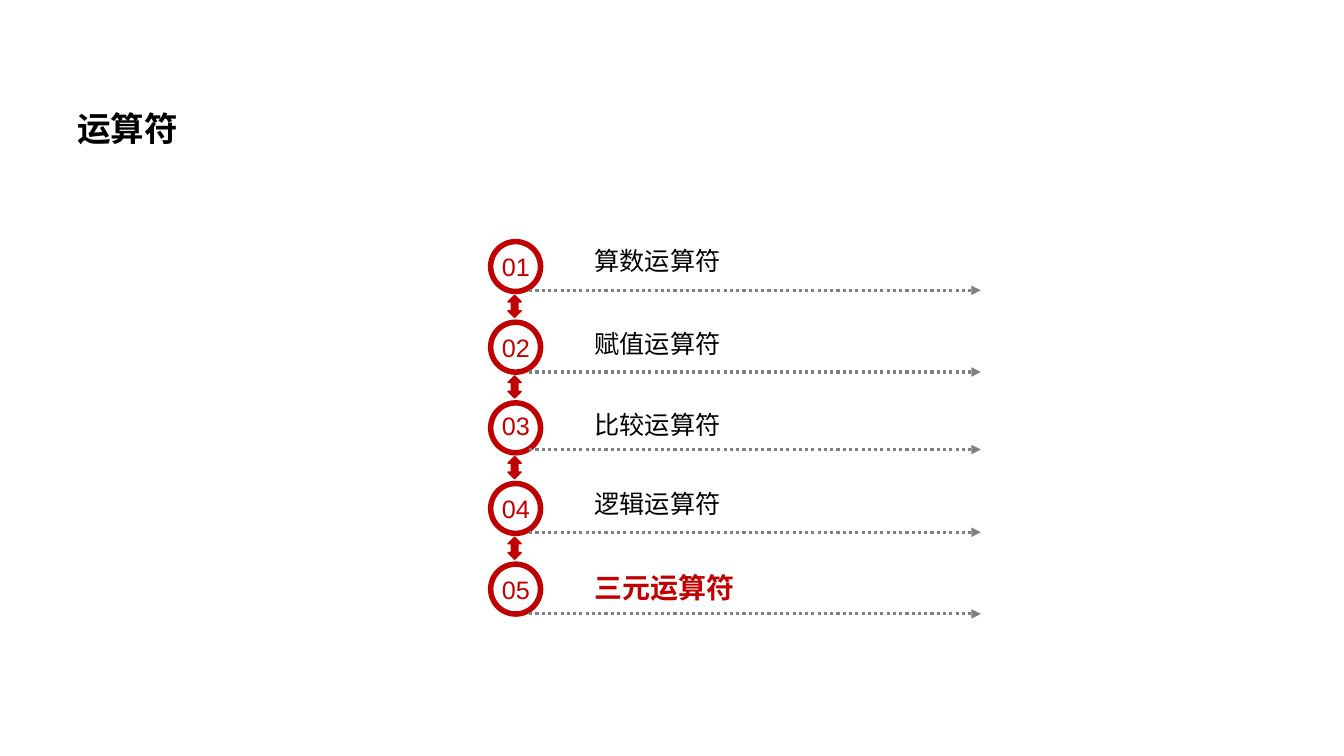
from dataclasses import dataclass

from lxml.etree import SubElement
from pptx import Presentation
from pptx.dml.color import RGBColor
from pptx.enum.dml import MSO_LINE_DASH_STYLE as Dash
from pptx.enum.shapes import MSO_CONNECTOR_TYPE as Connector, MSO_SHAPE as Preset
from pptx.enum.text import MSO_AUTO_SIZE as AutoSize
from pptx.oxml.ns import qn
from pptx.shapes.autoshape import Shape
from pptx.shapes.shapetree import SlideShapes
from pptx.util import Pt

RED = RGBColor(0xC0, 0x00, 0x00)
BLACK = RGBColor(0x00, 0x00, 0x00)
GRAY = RGBColor(0x80, 0x80, 0x80)

RING_LEFT, RING_TOP, RING_SIZE = 348.5, 170.6, 39.6
RING_PITCH = 57.6
LINK_LEFT, LINK_WIDTH, LINK_HEIGHT = 362.9, 9.4, 15.8
LINK_DROP = 40.3
RULE_START, RULE_END = 378, 700.6
NUMBER_RISE = 31.7


@dataclass(frozen=True)
class Operator:
    name: str
    name_top: float
    rule_y: float
    size: int = 18
    bold: bool = False
    color: RGBColor = BLACK


OPERATORS = [
    Operator("算数运算符", 171.4, 207.4),
    Operator("赋值运算符", 231.1, 265.7),
    Operator("比较运算符", 288.7, 321.1),
    Operator("逻辑运算符", 345.6, 380.2),
    Operator("三元运算符", 403.9, 438.5, 20, True, RED),
]


def add_text(shapes: SlideShapes, words: str, left: float, top: float,
             width: float, height: float, color: RGBColor, size: int = 18,
             bold: bool = False, wrap: bool = True) -> Shape:
    box = shapes.add_textbox(Pt(left), Pt(top), Pt(width), Pt(height))
    frame = box.text_frame
    frame.word_wrap = wrap
    frame.auto_size = AutoSize.SHAPE_TO_FIT_TEXT
    run = frame.paragraphs[0].add_run()
    run.text = words
    for attribute, value in {"name": "Arial", "size": Pt(size), "bold": bold}.items():
        setattr(run.font, attribute, value)
    run.font.color.rgb = color
    return box


def add_red_shape(shapes: SlideShapes, preset: Preset, left: float, top: float,
                  width: float, height: float) -> Shape:
    red_shape = shapes.add_shape(preset, Pt(left), Pt(top), Pt(width), Pt(height))
    red_shape.shadow.inherit = False
    red_shape.fill.solid()
    red_shape.fill.fore_color.rgb = RED
    return red_shape


def add_ring(shapes: SlideShapes, top: float) -> None:
    ring = add_red_shape(shapes, Preset.DONUT, RING_LEFT, top, RING_SIZE, RING_SIZE)
    ring.adjustments[0] = 0.1
    ring.line.fill.background()


def add_link(shapes: SlideShapes, top: float) -> None:
    """Add the double arrow between two neighbouring rings."""
    link = add_red_shape(shapes, Preset.UP_DOWN_ARROW, LINK_LEFT, top,
                         LINK_WIDTH, LINK_HEIGHT)
    link.line.color.rgb = RED
    link.line.width = Pt(1)


def add_rule(shapes: SlideShapes, y: float) -> None:
    """Add the dotted arrow under an operator's name."""
    rule = shapes.add_connector(Connector.STRAIGHT, Pt(RULE_START), Pt(y),
                                Pt(RULE_END), Pt(y))
    rule.line.color.rgb = GRAY
    for attribute, value in {"width": Pt(2.25), "dash_style": Dash.ROUND_DOT}.items():
        setattr(rule.line, attribute, value)
    SubElement(rule.line._get_or_add_ln(), qn("a:tailEnd"), type="triangle")
    SubElement(rule._element.spPr, qn("a:effectLst"))


def main() -> None:
    deck = Presentation()
    deck.slide_width, deck.slide_height = Pt(960), Pt(540)
    shapes = deck.slides.add_slide(deck.slide_layouts[6]).shapes

    title = add_text(shapes, "运算符", 48.2, 59, 845.3, 112.3, BLACK, 24, True)
    title.text_frame.auto_size = AutoSize.NONE
    title.text_frame.paragraphs[0].line_spacing = 1.5

    for index, operator in enumerate(OPERATORS):
        ring_top = RING_TOP + index * RING_PITCH
        add_ring(shapes, ring_top)
        add_text(shapes, f"{index + 1:02}", 351.4, operator.rule_y - NUMBER_RISE,
                 34.6, 28.8, RED, wrap=False)
        add_rule(shapes, operator.rule_y)
        add_text(shapes, operator.name, 417.6, operator.name_top, 285.1, 28.8,
                 operator.color, operator.size, operator.bold)
        if index < len(OPERATORS) - 1:
            add_link(shapes, ring_top + LINK_DROP)

    deck.save("out.pptx")


if __name__ == "__main__":
    main()
